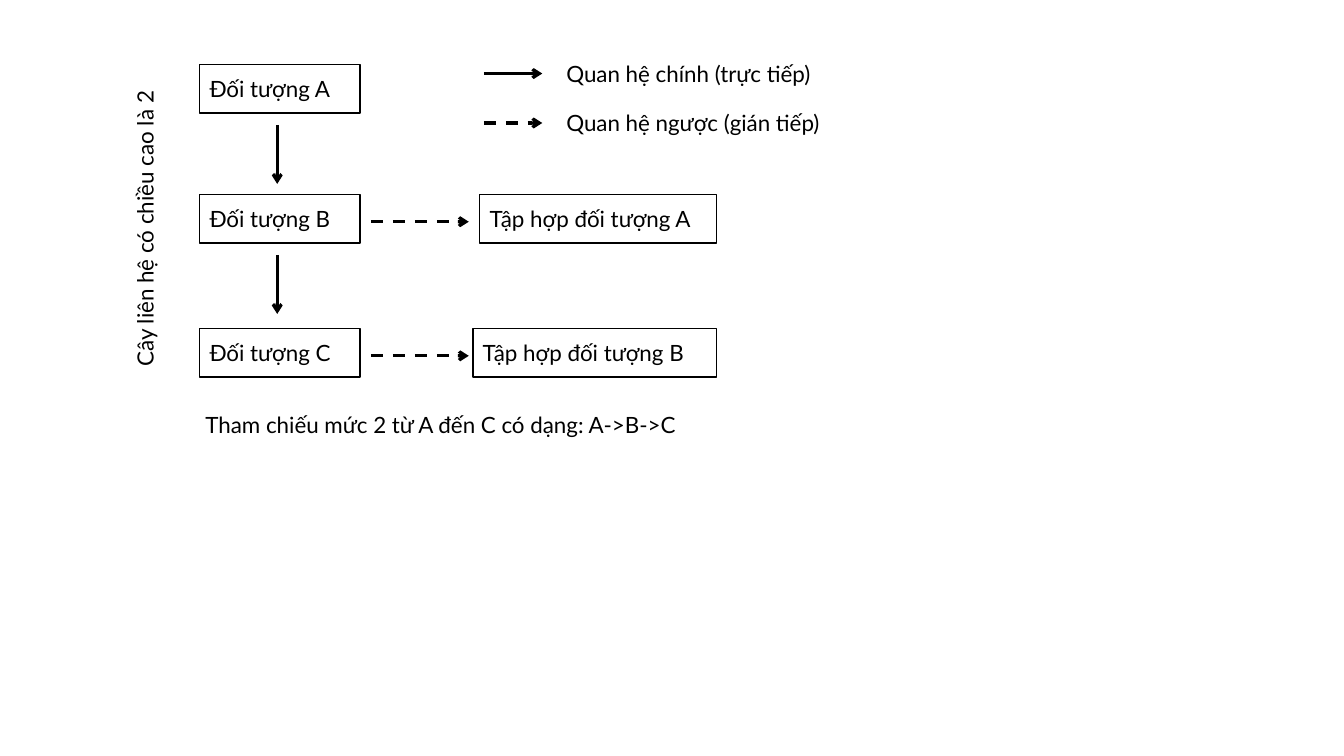
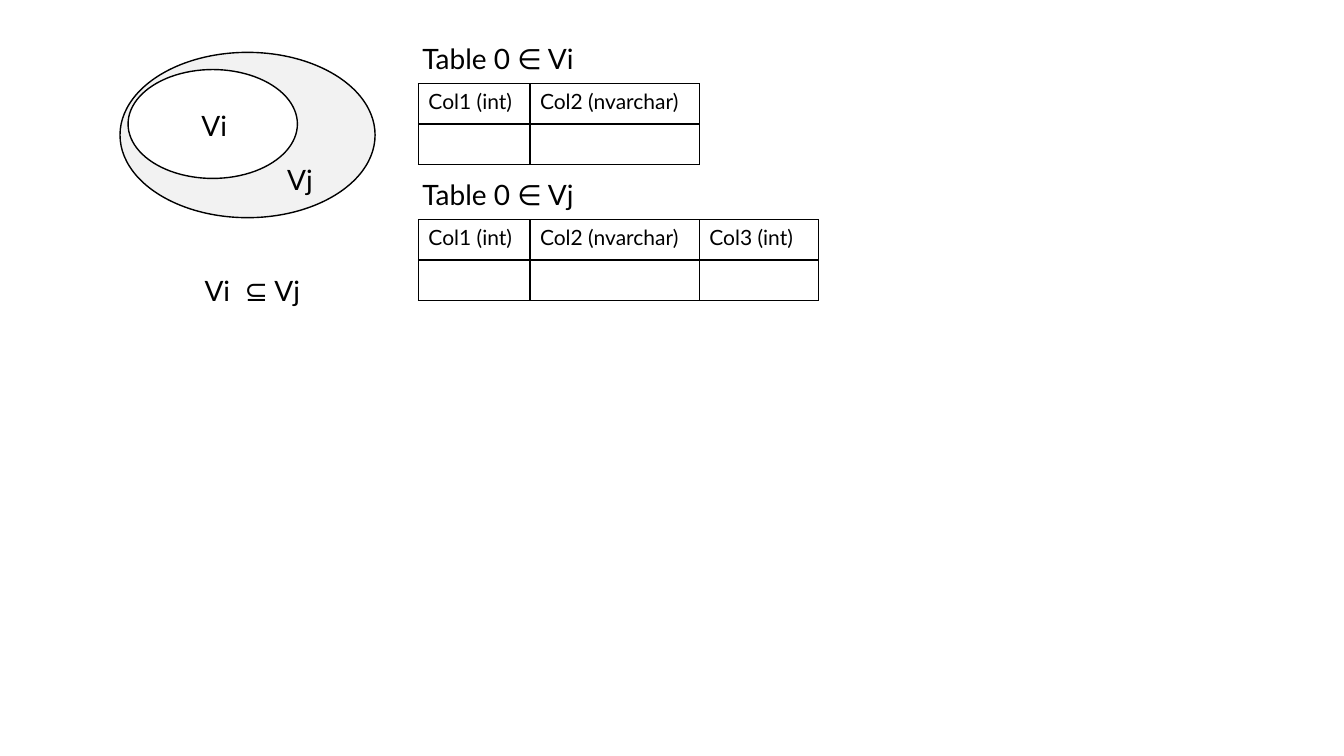
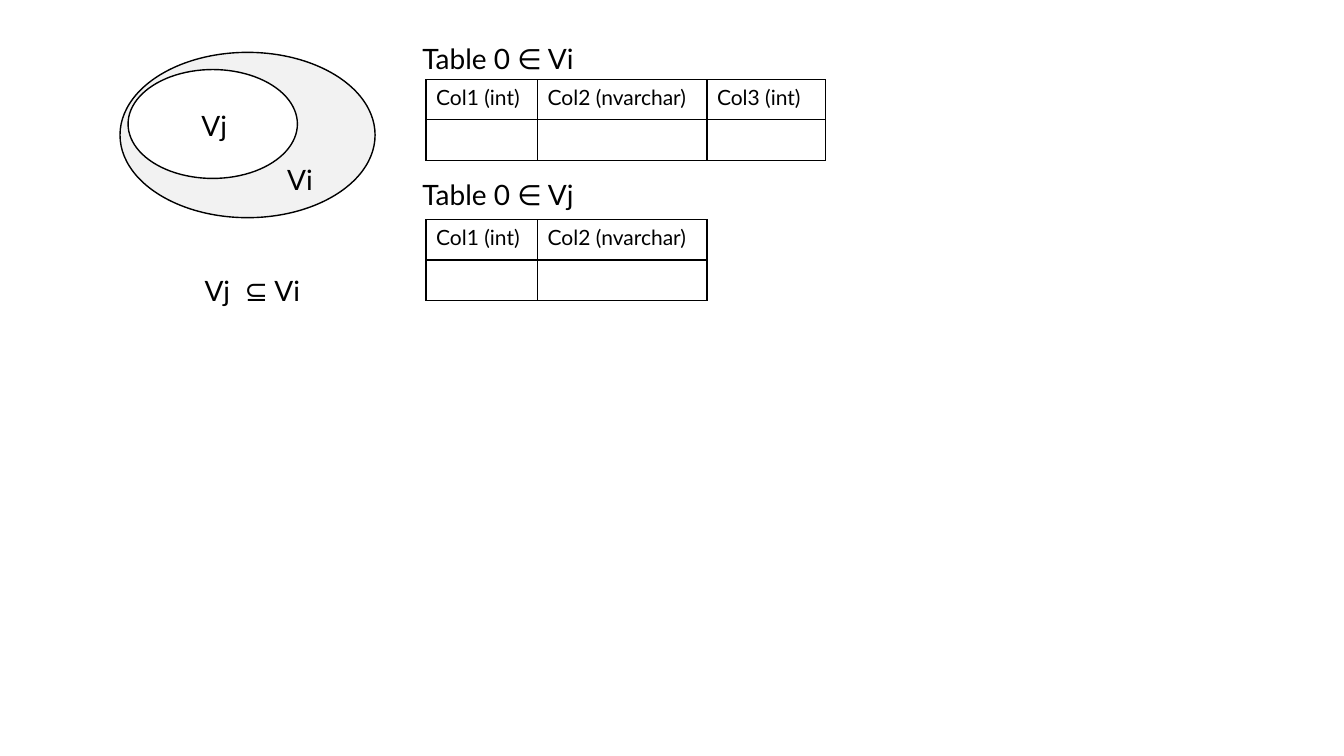
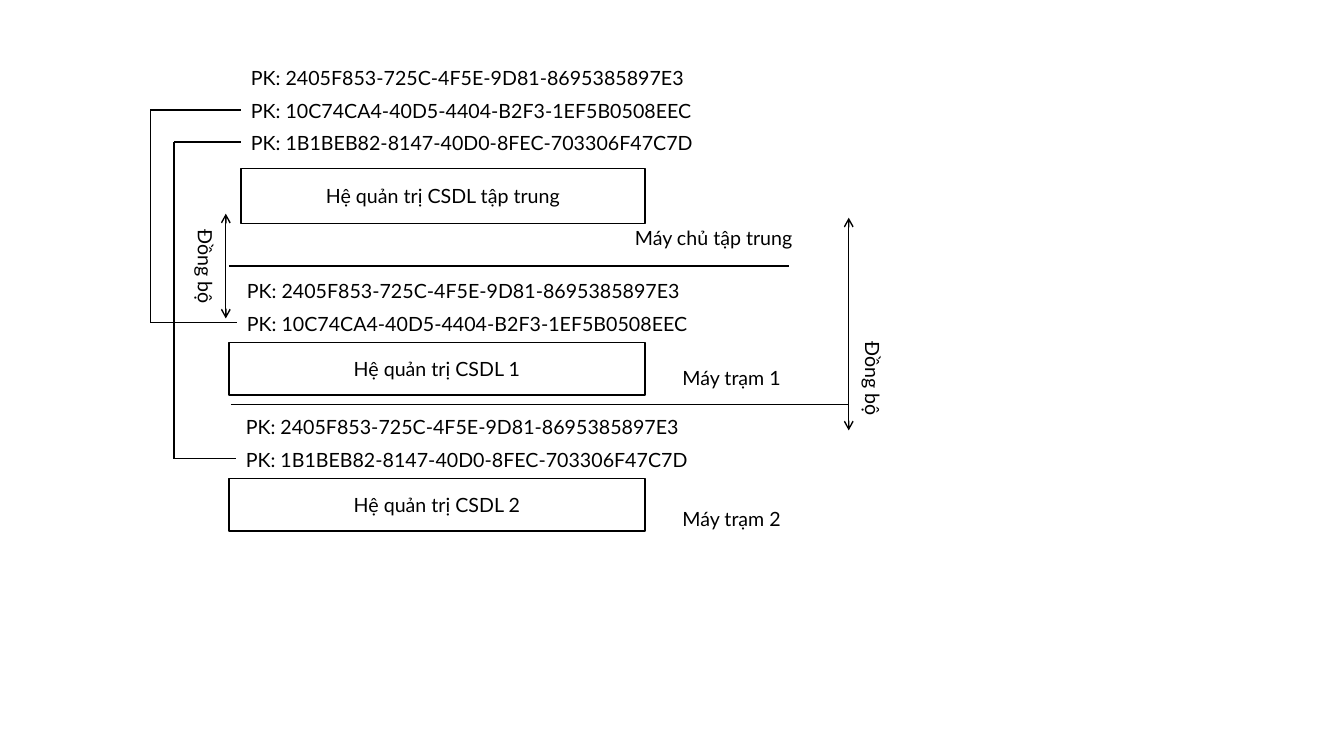
from pptx import Presentation
from pptx.dml.color import RGBColor
from pptx.enum.dml import MSO_LINE
from pptx.enum.shapes import MSO_CONNECTOR, MSO_SHAPE
from pptx.enum.text import MSO_ANCHOR, PP_ALIGN
from pptx.oxml import parse_xml
from pptx.oxml.ns import nsdecls, qn
from pptx.util import Inches, Pt

RECT, OVAL = MSO_SHAPE.RECTANGLE, MSO_SHAPE.OVAL
STRAIGHT, DASH = MSO_CONNECTOR.STRAIGHT, MSO_LINE.DASH
TOP, MIDDLE = MSO_ANCHOR.TOP, MSO_ANCHOR.MIDDLE
LEFT, CENTER = PP_ALIGN.LEFT, PP_ALIGN.CENTER

FONT = "Lato"
COLORS = {name: RGBColor.from_string(value) for name, value in {
    "ink": "000000", "paper": "FFFFFF", "shade": "F2F2F2"}.items()}

prs = Presentation()
prs.slide_width, prs.slide_height = Inches(13.33), Inches(7.5)
blank = prs.slide_layouts[6]

# All lengths count cells of a grid with 100 columns and 100 rows.
COL, ROW = prs.slide_width / 100, prs.slide_height / 100
LABEL_H = 6.4


def add_block(slide, at, text="", size=16, preset=None, fill="paper",
              outlined=True, align=LEFT, anchor=MIDDLE, rotation=0):
    """Place a preset shape, or a plain text box if there is no preset."""
    x, y, w, h = at
    area = [int(n) for n in (x * COL, y * ROW, w * COL, h * ROW)]
    if preset is None:
        block = slide.shapes.add_textbox(*area)
    else:
        block = slide.shapes.add_shape(preset, *area)
        block.shadow.inherit = False
        block.fill.solid()
        block.fill.fore_color.rgb = COLORS[fill]
        if outlined:
            block.line.color.rgb = COLORS["ink"]
            block.line.width = Pt(1)
        else:
            block.line.fill.background()
    block.rotation = rotation
    frame = block.text_frame
    frame.word_wrap = True
    frame.vertical_anchor = anchor
    frame.text = text
    paragraph = frame.paragraphs[0]
    paragraph.alignment = align
    for run in paragraph.runs:
        run.font.name, run.font.size = FONT, Pt(size)
        run.font.color.rgb = COLORS["ink"]


def add_line(slide, x1, y1, x2, y2, width=1, dash=None, arrows=()):
    ends = [int(n) for n in (x1 * COL, y1 * ROW, x2 * COL, y2 * ROW)]
    line = slide.shapes.add_connector(STRAIGHT, *ends)
    line.line.color.rgb = COLORS["ink"]
    line.line.width = Pt(width)
    if dash:
        line.line.dash_style = dash
    properties = line._element.spPr
    for end in arrows:
        properties.find(qn("a:ln")).append(
            parse_xml(f'<a:{end} {nsdecls("a")} type="arrow"/>'))
    properties.append(parse_xml(f'<a:effectLst {nsdecls("a")}/>'))


# Slide 1: relation tree
slide = prs.slides.add_slide(blank)
OBJECT_X, OBJECT_W, SET_RIGHT = 14.85, 11.93, 53.33
levels = [("A", 8.53, None, None), ("B", 25.73, "A", 17.63), ("C", 43.47, "B", 18.15)]
for name, y, parent, set_w in levels:
    add_block(slide, (OBJECT_X, y, OBJECT_W, LABEL_H), f"Đối tượng {name}", preset=RECT)
    if name != "C":
        start = y + LABEL_H + 1.6
        add_line(slide, 20.63, start, 20.63, start + 7.8, 2.25, arrows=["tailEnd"])
    if parent:
        add_line(slide, 27.6, y + 3.6, 34.88, y + 3.6, 2.25, DASH, ["tailEnd"])
        add_block(slide, (SET_RIGHT - set_w, y, set_w, LABEL_H),
                  f"Tập hợp đối tượng {parent}", preset=RECT)

for y, dash, meaning in [(9.73, None, "Quan hệ chính (trực tiếp)"),
                         (16.27, DASH, "Quan hệ ngược (gián tiếp)")]:
    add_line(slide, 36, y, 40.35, y, 2.25, dash, ["tailEnd"])
    add_block(slide, (41.4, y - LABEL_H / 2, 25.13, LABEL_H), meaning,
              preset=RECT, outlined=False)

add_block(slide, (-1.8, 24.27, 25.13, LABEL_H), "Cây liên hệ có chiều cao là 2",
          preset=RECT, outlined=False, rotation=270)
add_block(slide, (14.55, 52.93, 42.38, LABEL_H),
          "Tham chiếu mức 2 từ A đến C có dạng: A->B->C", preset=RECT, outlined=False)

# Slides 2 and 3: subset diagram and the two tables
FIELDS = [("Col1 (int)", 8.3), ("Col2 (nvarchar)", 12.6), ("Col3 (int)", 8.85)]
FIELD_ROW_H = 5.33
inclusions = [
    ("Vi", "Vj", 31.13, [("Vi", 4.53, 11.07, 2), ("Vj", 22.53, 29.07, 3)]),
    ("Vj", "Vi", 31.7, [("Vi", 4.53, 10.53, 3), ("Vj", 22.53, 29.07, 2)]),
]
for subset, superset, table_x, tables in inclusions:
    slide = prs.slides.add_slide(blank)
    add_block(slide, (8.93, 6.93, 18.98, 21.87), preset=OVAL, fill="shade")
    add_block(slide, (9.53, 9.2, 12.6, 14.4), preset=OVAL)
    for text, x, y, w in [(subset, 14.25, 13.33, 4.2), (superset, 20.63, 20.53, 4.2),
                          (f"{subset}  ⊆ {superset}", 14.48, 35.2, 8.85)]:
        add_block(slide, (x, y, w, LABEL_H), text, 20)

    for owner, title_y, table_y, field_count in tables:
        add_block(slide, (30.68, title_y, 25.58, LABEL_H), f"Table 0 ∈ {owner}", 20)
        fields = FIELDS[:field_count]
        total_w = sum(width for _, width in fields)
        table = slide.shapes.add_table(
            2, field_count, int(table_x * COL), int(table_y * ROW),
            int(total_w * COL), int(2 * FIELD_ROW_H * ROW)).table
        table.first_row = table.horz_banding = False
        for column, (field, width) in zip(table.columns, fields):
            column.width = int(width * COL)
        for cell, (field, _) in zip(table.rows[0].cells, fields):
            cell.text = field
            font = cell.text_frame.paragraphs[0].runs[0].font
            font.name, font.size = FONT, Pt(15)
            font.color.rgb = COLORS["ink"]
        for cell in table.iter_cells():
            borders = cell._tc.get_or_add_tcPr()
            for side in ("lnL", "lnR", "lnT", "lnB"):
                borders.append(parse_xml(
                    f'<a:{side} {nsdecls("a")} w="{Pt(1)}"><a:solidFill>'
                    f'<a:srgbClr val="{COLORS["ink"]}"/></a:solidFill></a:{side}>'))
            cell.fill.background()

# Slide 4: synchronised databases
slide = prs.slides.add_slide(blank)
NOTE_H, KEY_STEP = 5.47, 4.27
SHARED_KEY = "2405F853-725C-4F5E-9D81-8695385897E3"
KEY_1 = "10C74CA4-40D5-4404-B2F3-1EF5B0508EEC"
KEY_2 = "1B1BEB82-8147-40D0-8FEC-703306F47C7D"
DATABASE_RIGHT = 48
databases = [
    ("Hệ quản trị CSDL tập trung", 17.93, 22.27, 7.33,
     17.93, 8.13, [SHARED_KEY, KEY_1, KEY_2]),
    ("Hệ quản trị CSDL 1", 17.03, 45.33, 6.93, 17.63, 36.27, [SHARED_KEY, KEY_1]),
    ("Hệ quản trị CSDL 2", 17.03, 63.33, 6.93, 17.55, 54.27, [SHARED_KEY, KEY_2]),
]
key_ends = {SHARED_KEY: [], KEY_1: [], KEY_2: []}
for name, x, y, h, key_x, key_y, keys in databases:
    add_block(slide, (x, y, DATABASE_RIGHT - x, h), name, 14, RECT, align=CENTER)
    for index, key in enumerate(keys):
        top = key_y + index * KEY_STEP
        add_block(slide, (key_x, top, 36.6, NOTE_H), f"PK: {key}", 14, anchor=TOP)
        key_ends[key].append((key_x, top + 2.13))

for key, bracket_x in [(KEY_1, 11.18), (KEY_2, 12.95)]:
    (_, first_y), (_, last_y) = key_ends[key]
    add_line(slide, bracket_x, first_y, bracket_x, last_y)
    for key_x, y in key_ends[key]:
        add_line(slide, key_x, y, bracket_x, y)

for machine, x, y, w in [("Máy chủ tập trung", 46.5, 29.2, 15.15),
                         ("Máy trạm 1", 50.03, 47.73, 11.55),
                         ("Máy trạm 2", 50.03, 66.4, 11.55)]:
    add_block(slide, (x, y, w, NOTE_H), machine, 14, anchor=TOP)

for left, right, y in [(17.03, 58.73, 35.2), (17.18, 63.15, 53.47)]:
    add_line(slide, left, y, right, y)

for x, top, bottom, note_x, note_y in [(16.8, 28.27, 42.13, 10.95, 33.47),
                                       (63.15, 28.8, 56.93, 60.6, 48.27)]:
    add_line(slide, x, top, x, bottom, arrows=["headEnd", "tailEnd"])
    add_block(slide, (note_x, note_y, 8.1, NOTE_H), "Đồng bộ", 14, anchor=TOP, rotation=90)

prs.save("out.pptx")
